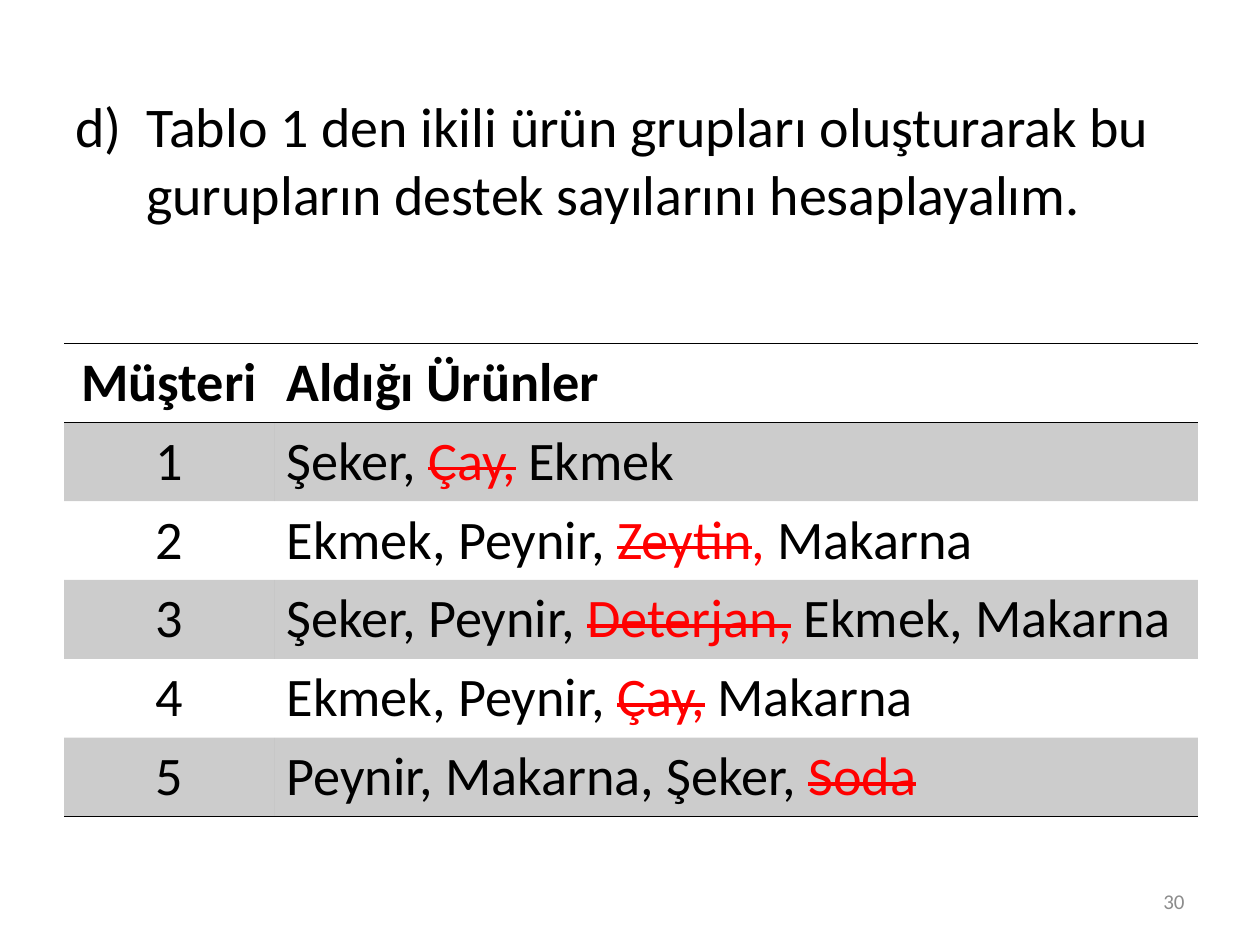
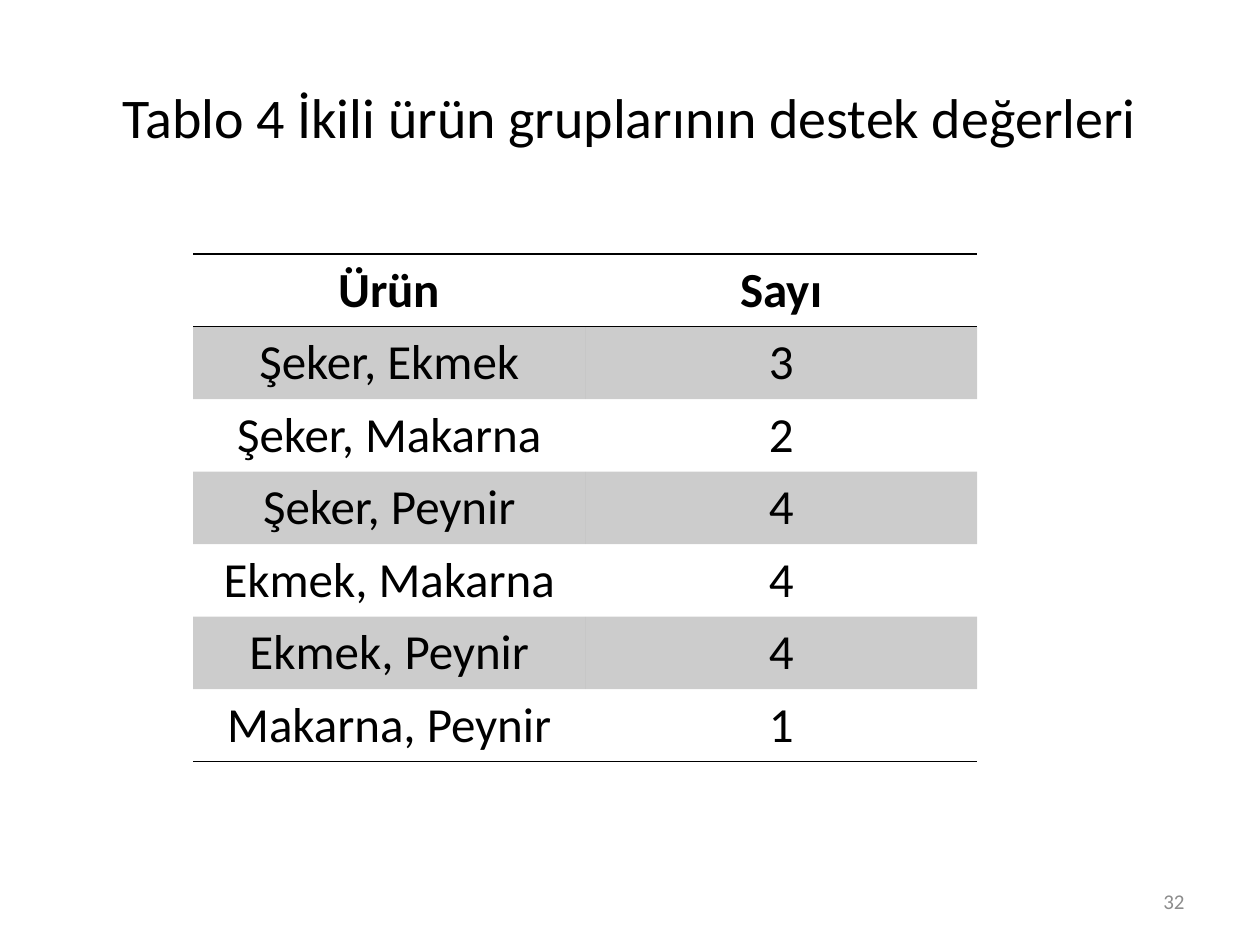
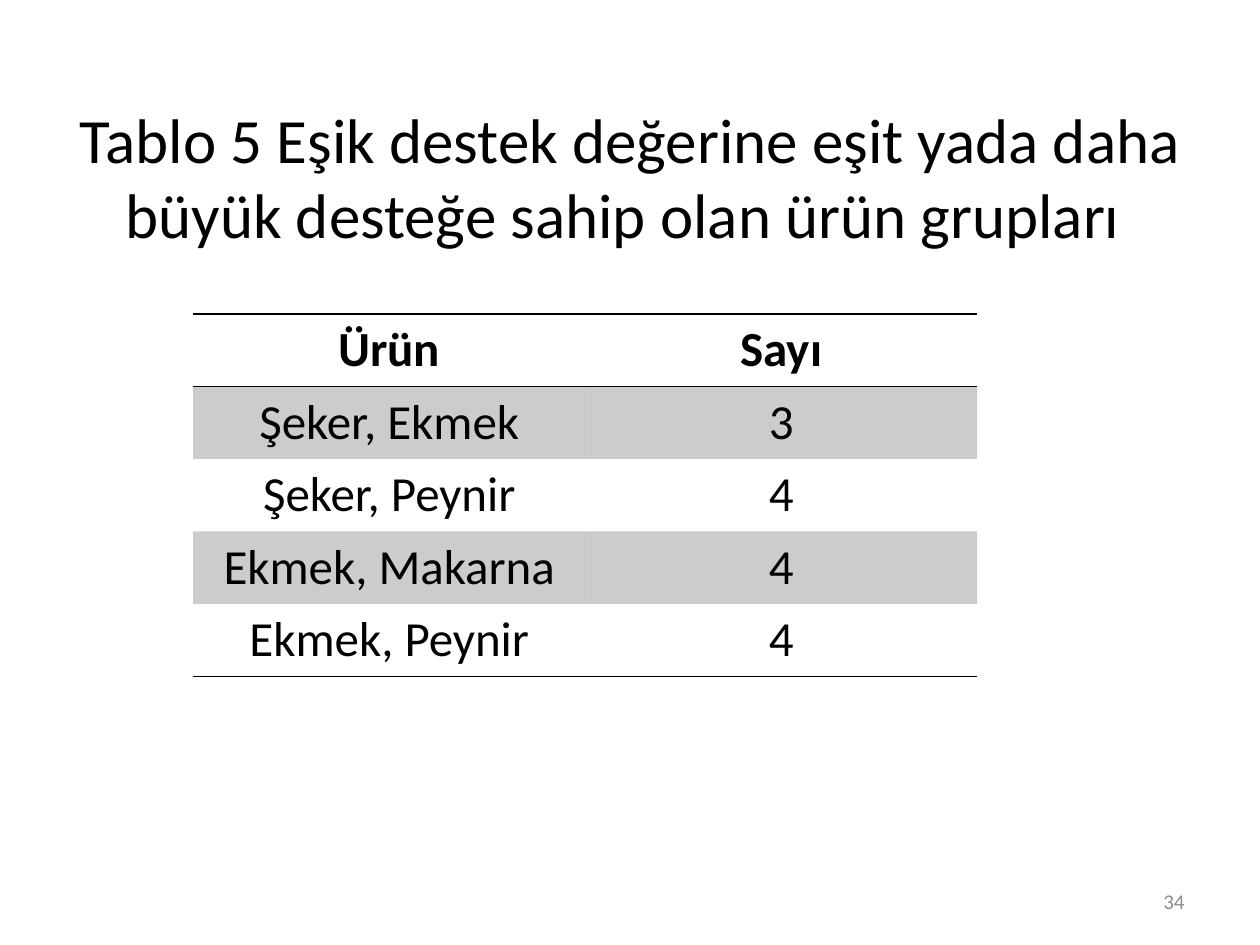
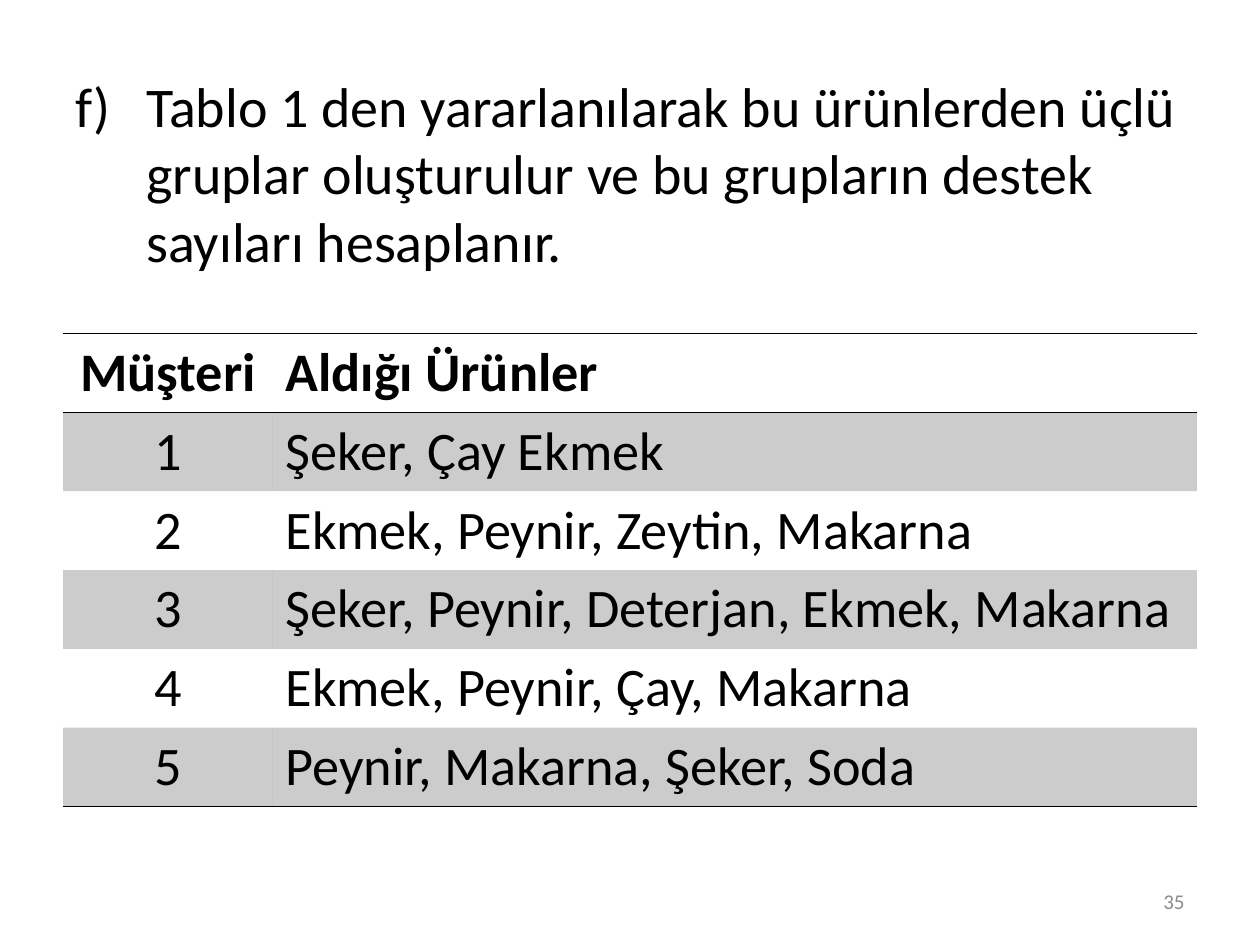
from dataclasses import dataclass

from lxml.etree import SubElement
from pptx import Presentation
from pptx.dml.color import RGBColor
from pptx.enum.text import MSO_ANCHOR as Anchor, PP_ALIGN as Align
from pptx.oxml.ns import qn
from pptx.util import Pt

# Content: a span is (text, style); a plain string is one unstyled span
CUSTOMER_HEAD = ("Müşteri", "Aldığı Ürünler")
SUPPORT_HEAD = ("Ürün", "Sayı")

SLIDES = [
    {"number": 30, "item": 4, "top": 49, "height": 130,
     "text": "Tablo 1 den ikili ürün grupları oluşturarak bu "
             "gurupların destek sayılarını hesaplayalım.",
     "kind": "customers", "table_at": (36.6, 196.3),
     "rows": [
         CUSTOMER_HEAD,
         ("1", [("Şeker, ", ""), ("Çay,", "struck"), (" Ekmek", "")]),
         ("2", [("Ekmek, Peynir, ", ""), ("Zeytin", "struck"), (",", "red"),
                (" Makarna", "")]),
         ("3", [("Şeker, Peynir, ", ""), ("Deterjan,", "struck"),
                (" Ekmek, Makarna", "")]),
         ("4", [("Ekmek, Peynir, ", ""), ("Çay,", "struck"),
                (" Makarna", "")]),
         ("5", [("Peynir, Makarna, Şeker, ", ""), ("Soda", "struck")]),
     ]},
    {"number": 32, "top": 21.6, "height": 90, "size": 32,
     "text": "Tablo 4 İkili ürün gruplarının destek değerleri",
     "kind": "support", "table_at": (110.4, 145.2),
     "rows": [
         SUPPORT_HEAD,
         ("Şeker, Ekmek", "3"),
         ("Şeker, Makarna", "2"),
         ("Şeker, Peynir", "4"),
         ("Ekmek, Makarna", "4"),
         ("Ekmek, Peynir", "4"),
         ("Makarna, Peynir", "1"),
     ]},
    {"number": 34, "top": 55.4, "height": 90, "size": 36,
     "text": "Tablo 5 Eşik destek değerine eşit yada daha büyük "
             "desteğe sahip olan ürün grupları ",
     "kind": "support", "table_at": (110.4, 179.3),
     "rows": [
         SUPPORT_HEAD,
         ("Şeker, Ekmek", "3"),
         ("Şeker, Peynir", "4"),
         ("Ekmek, Makarna", "4"),
         ("Ekmek, Peynir", "4"),
     ]},
    {"number": 35, "item": 6, "top": 37.4, "height": 132.5,
     "text": "Tablo 1 den yararlanılarak bu ürünlerden üçlü gruplar "
             "oluşturulur ve bu grupların destek sayıları hesaplanır.",
     "kind": "customers", "table_at": (36, 190.6),
     "rows": [
         CUSTOMER_HEAD,
         ("1", "Şeker, Çay Ekmek"),
         ("2", "Ekmek, Peynir, Zeytin, Makarna"),
         ("3", "Şeker, Peynir, Deterjan, Ekmek, Makarna"),
         ("4", "Ekmek, Peynir, Çay, Makarna"),
         ("5", "Peynir, Makarna, Şeker, Soda"),
     ]},
]

TABLE_KINDS = {
    "customers": {"columns": (120, 528), "row": 45.05, "size": 31,
                  "aligns": (Align.CENTER, Align.LEFT)},
    "support": {"columns": (224, 224), "row": 41.45, "size": 28,
                "aligns": (Align.CENTER, Align.CENTER)},
}


@dataclass(frozen=True)
class Theme:
    font: str = "Calibri"
    ink: str = "000000"
    removed: str = "FF0000"
    muted: str = "8C8C8C"
    band_alpha: int = 20000
    body_size: int = 32
    number_size: int = 12
    rule: float = 1
    page_width: int = 720
    page_height: int = 540
    margin: int = 36
    indent: float = 40.5
    plain_table: str = "{2D5ABB26-0587-4C30-8999-92F81FD0307C}"


THEME = Theme()


def style_span(span, size, color=THEME.ink, bold=False):
    span.font.name = THEME.font
    span.font.size = Pt(size)
    span.font.bold = bold
    span.font.color.rgb = RGBColor.from_string(color)


def add_text(page, text, place, size, align, anchor, color=THEME.ink):
    box = page.shapes.add_textbox(*map(Pt, place))
    frame = box.text_frame
    frame.word_wrap = True
    frame.vertical_anchor = anchor
    frame.text = text
    para = frame.paragraphs[0]
    para.alignment = align
    style_span(para.runs[0], size, color)
    return para


def number_item(para, start):
    """Turn a paragraph into a lettered list item with a hanging indent."""
    para.space_before = Pt(THEME.body_size * 0.2)
    props = para._p.get_or_add_pPr()
    props.set("marL", str(Pt(THEME.indent)))
    props.set("indent", str(-Pt(THEME.indent)))
    SubElement(props, qn("a:buFont"), typeface="+mj-lt")
    SubElement(props, qn("a:buAutoNum"), type="alphaLcParenR",
               startAt=str(start))


def add_rule(cell, side):
    line = SubElement(cell._tc.get_or_add_tcPr(), qn(f"a:{side}"),
                      w=str(Pt(THEME.rule)))
    fill = SubElement(line, qn("a:solidFill"))
    SubElement(fill, qn("a:srgbClr"), val=THEME.ink)


def fill_band(cell):
    cell.fill.solid()
    cell.fill.fore_color.rgb = RGBColor.from_string(THEME.ink)
    # Only the cell's own fill, not the fill inside its border lines
    fill = cell._tc.tcPr.find(qn("a:solidFill"))
    SubElement(fill.find(qn("a:srgbClr")), qn("a:alpha"),
               val=str(THEME.band_alpha))


def write_cell(cell, content, size, align, bold):
    para = cell.text_frame.paragraphs[0]
    para.alignment = align
    spans = [(content, "")] if isinstance(content, str) else content
    for text, style in spans:
        span = para.add_run()
        span.text = text
        style_span(span, size, THEME.removed if style else THEME.ink, bold)
        if style == "struck":
            span._r.get_or_add_rPr().set("strike", "sngStrike")


def add_ruled_table(page, rows, kind, place):
    columns, row_height = kind["columns"], kind["row"]
    frame = page.shapes.add_table(
        len(rows), len(columns), *map(Pt, place),
        Pt(sum(columns)), Pt(row_height * len(rows)))
    table = frame.table
    table._tbl.tblPr.find(qn("a:tableStyleId")).text = THEME.plain_table
    for column, width in zip(table.columns, columns):
        column.width = Pt(width)
    last = len(rows) - 1
    for r, row in enumerate(rows):
        table.rows[r].height = Pt(row_height)
        for c, content in enumerate(row):
            cell = table.cell(r, c)
            write_cell(cell, content, kind["size"], kind["aligns"][c], r == 0)
            # Rules frame the header and close the table; odd rows are banded
            if r == 0:
                add_rule(cell, "lnT")
            if r in (0, last):
                add_rule(cell, "lnB")
            if r % 2:
                fill_band(cell)
            else:
                cell.fill.background()


def build_page(deck, content):
    page = deck.slides.add_slide(deck.slide_layouts[6])
    width = THEME.page_width - 2 * THEME.margin
    place = (THEME.margin, content["top"], width, content["height"])
    # Heading: a lettered step or a centred title
    if "item" in content:
        para = add_text(page, content["text"], place, THEME.body_size,
                        Align.LEFT, Anchor.TOP)
        number_item(para, content["item"])
    else:
        add_text(page, content["text"], place, content["size"],
                 Align.CENTER, Anchor.MIDDLE)
    # Page number
    add_text(page, str(content["number"]), (516, 500.5, 168, 28.75),
             THEME.number_size, Align.RIGHT, Anchor.MIDDLE, THEME.muted)
    add_ruled_table(page, content["rows"], TABLE_KINDS[content["kind"]],
                    content["table_at"])


def main():
    deck = Presentation()
    deck.slide_width = Pt(THEME.page_width)
    deck.slide_height = Pt(THEME.page_height)
    for content in SLIDES:
        build_page(deck, content)
    deck.save("out.pptx")


if __name__ == "__main__":
    main()
